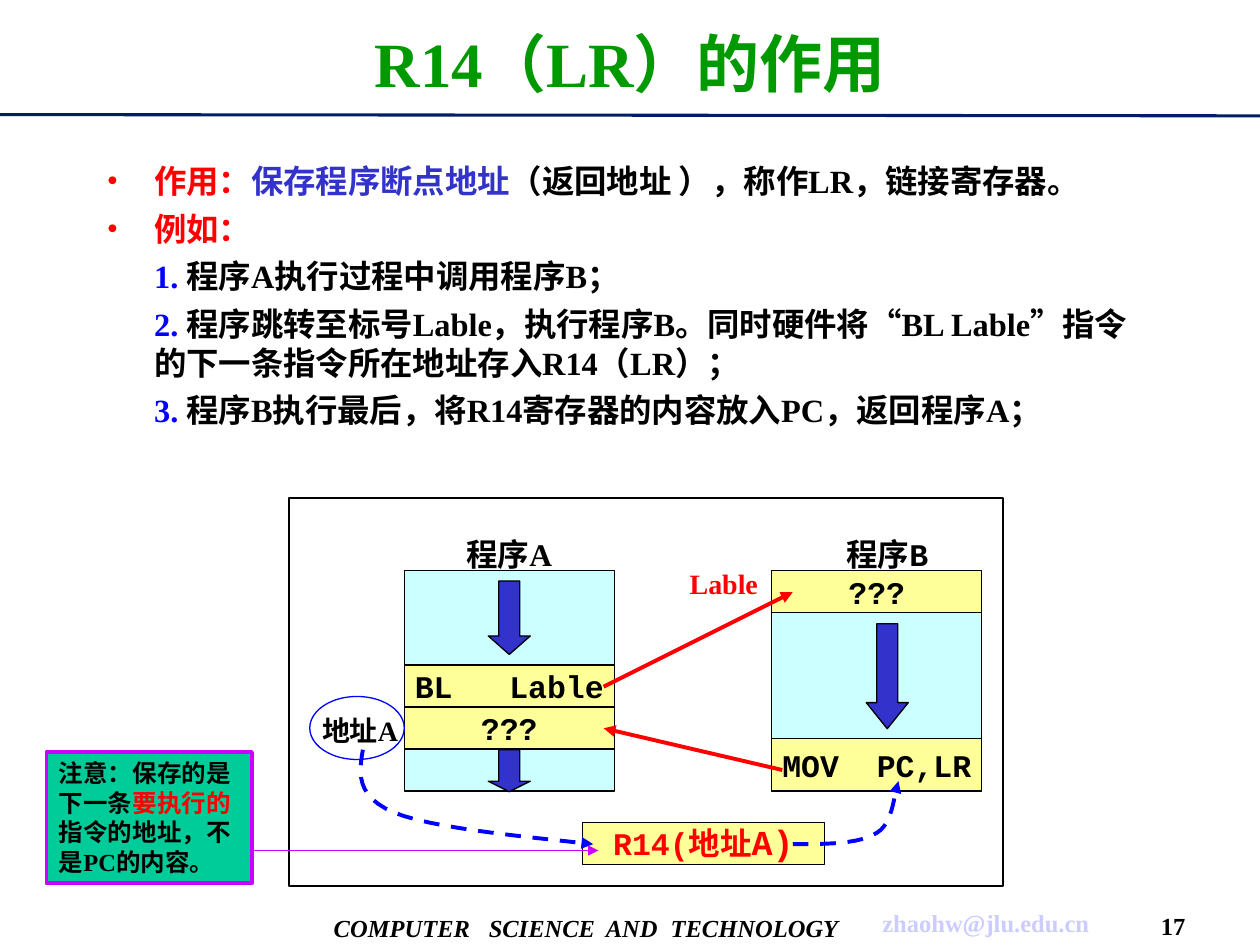
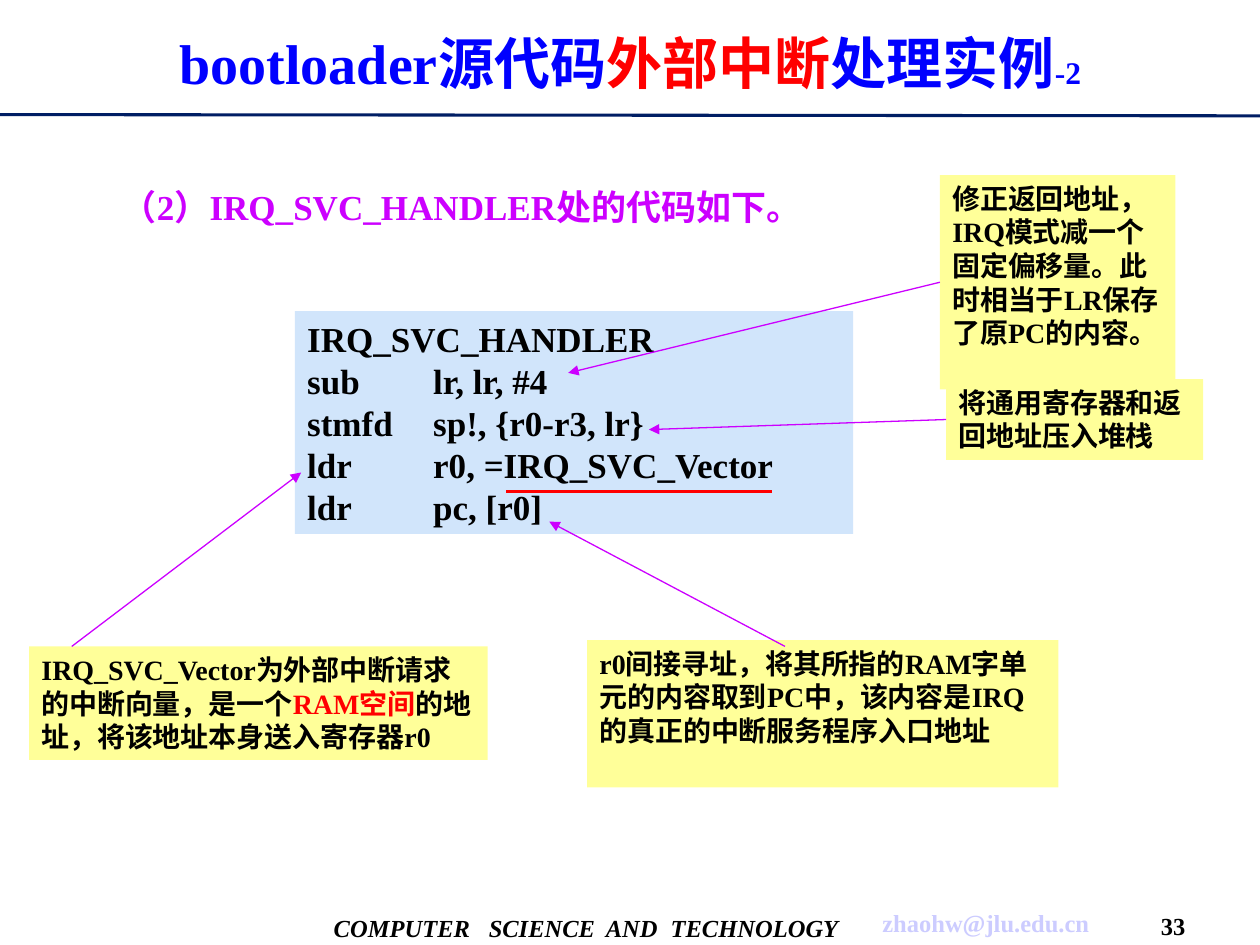
"""Build two slides on the link register and on external interrupt handling."""
import dataclasses

import lxml.etree
import pptx
import pptx.dml.color
import pptx.enum.dml
import pptx.enum.shapes
import pptx.enum.text
import pptx.oxml.ns
import pptx.util

Pt = pptx.util.Pt
qn = pptx.oxml.ns.qn
PRESET = pptx.enum.shapes.MSO_SHAPE
MIDDLE = pptx.enum.text.MSO_ANCHOR.MIDDLE
CENTER = pptx.enum.text.PP_ALIGN.CENTER


@dataclasses.dataclass(frozen=True)
class Theme:
    serif: str = "Times New Roman"
    mono: str = "Courier New"
    black: str = "000000"
    navy: str = "001E64"
    green: str = "009900"
    red: str = "FF0000"
    blue: str = "0000FF"
    indigo: str = "3333CC"
    lilac: str = "CCCCFF"
    magenta: str = "CC00FF"
    cyan: str = "CCFFFF"
    yellow: str = "FFFF99"
    teal: str = "00CC99"
    sky: str = "D1E5FB"
    footer: float = 14
    note: float = 16
    label: float = 18
    body: float = 18.5
    code: float = 20
    leading: float = 1.2


theme = Theme()


def put_box(slide, place, paragraphs=(), size=theme.note, fill=None, edge=None, weight=0.75,
            preset=None, frame=None, layout=None, face=None, tabs=()):
    place = [Pt(length) for length in place]
    if preset is None:
        box = slide.shapes.add_textbox(*place)
    else:
        box = slide.shapes.add_shape(preset, *place)
        box.shadow.inherit = False
        for paint, colour in ((box.fill, fill), (box.line.fill, edge)):
            if colour:
                paint.solid()
                paint.fore_color.rgb = pptx.dml.color.RGBColor.from_string(colour)
            else:
                paint.background()
        if edge:
            box.line.width = Pt(weight)
    frame_format = {"word_wrap": True, "vertical_anchor": pptx.enum.text.MSO_ANCHOR.TOP,
                    "margin_left": Pt(7.2), "margin_right": Pt(7.2),
                    "margin_top": Pt(3.6), "margin_bottom": Pt(3.6), **(frame or {})}
    for key, value in frame_format.items():
        setattr(box.text_frame, key, value)
    layout_format = {"alignment": pptx.enum.text.PP_ALIGN.LEFT,
                     "line_spacing": Pt(theme.leading * size), **(layout or {})}
    for index, runs in enumerate(paragraphs):
        paragraph = box.text_frame.paragraphs[0] if index == 0 else box.text_frame.add_paragraph()
        for key, value in layout_format.items():
            setattr(paragraph, key, value)
        if tabs:
            stops = lxml.etree.SubElement(paragraph._p.get_or_add_pPr(), qn("a:tabLst"))
            for stop in tabs:
                lxml.etree.SubElement(stops, qn("a:tab"), pos=str(Pt(stop)), algn="l")
        for words, colour, *own_size in runs:
            run = paragraph.add_run()
            run.text = words
            run_format = {"name": theme.serif, "bold": True,
                          "size": Pt(own_size[0] if own_size else size), **(face or {})}
            for key, value in run_format.items():
                setattr(run.font, key, value)
            run.font.color.rgb = pptx.dml.color.RGBColor.from_string(colour)
    return box


def style_line(stroke, colour, width, arrow=True):
    stroke.line.color.rgb = pptx.dml.color.RGBColor.from_string(colour)
    stroke.line.width = Pt(width)
    if arrow:
        lxml.etree.SubElement(stroke.line._ln, qn("a:tailEnd"), type="triangle")
    lxml.etree.SubElement(stroke._element.spPr, qn("a:effectLst"))


STRAIGHT = pptx.enum.shapes.MSO_CONNECTOR.STRAIGHT
deck = pptx.Presentation()
deck.slide_width, deck.slide_height = Pt(720), Pt(540)

headings = [
    ("17", 36, [("R14（LR）的作用", theme.green)]),
    ("33", 32, [("bootloader源代码", theme.blue), ("外部中断", theme.red),
                ("处理实例", theme.blue), ("-2", theme.blue, theme.label)]),
]
footer_style = {"size": theme.footer, "layout": {"alignment": CENTER},
                "frame": {"vertical_anchor": MIDDLE, "margin_left": 0, "margin_right": 0}}
for number, title_size, title in headings:
    slide = deck.slides.add_slide(deck.slide_layouts[6])
    rule = slide.shapes.add_connector(STRAIGHT, 0, Pt(65.5), Pt(720), Pt(66.2))
    style_line(rule, theme.navy, 1.75, arrow=False)
    put_box(slide, (183.6, 514.8, 312, 30.2),
            [[("COMPUTER\tSCIENCE\tAND\tTECHNOLOGY", theme.black)]], size=theme.footer,
            frame={"vertical_anchor": MIDDLE, "margin_right": 0}, face={"italic": True},
            tabs=(88.6, 155.5, 192.5))
    put_box(slide, (498.2, 514.1, 130.3, 25.9), [[("zhaohw@jlu.edu.cn", theme.lilac)]], **footer_style)
    put_box(slide, (654.5, 517.7, 31.7, 22.3), [[(number, theme.black)]], **footer_style)
    put_box(slide, (23, 5.8, 674.6, 59.8), [title], size=title_size,
            frame={"vertical_anchor": MIDDLE}, layout={"alignment": CENTER})

link_slide, handler_slide = deck.slides

steps = [
    "程序A执行过程中调用程序B；",
    "程序跳转至标号Lable，执行程序B。同时硬件将“BL Lable”指令的下一条指令所在地址存入R14（LR）；",
    "程序B执行最后，将R14寄存器的内容放入PC，返回程序A；",
]
purpose = [
    [("作用：", theme.red), ("保存程序断点地址", theme.indigo),
     ("（返回地址 ），称作LR，链接寄存器。", theme.black)],
    [("例如：", theme.red)],
]
purpose += [[(f"{count}. ", theme.blue), (step, theme.black)] for count, step in enumerate(steps, 1)]
explanation = put_box(link_slide, (54, 88.6, 604, 175.7), purpose, size=theme.body)
for index, paragraph in enumerate(explanation.text_frame.paragraphs):
    if index:
        paragraph.space_before = Pt(5)
    properties = paragraph._p.get_or_add_pPr()
    properties.set("marL", str(Pt(27)))
    properties.set("indent", str(Pt(-27 if index < 2 else 0)))
    if index < 2:
        bullet_colour = lxml.etree.SubElement(properties, qn("a:buClr"))
        lxml.etree.SubElement(bullet_colour, qn("a:srgbClr"), val=theme.red)
        lxml.etree.SubElement(properties, qn("a:buFont"), typeface=theme.serif)
        lxml.etree.SubElement(properties, qn("a:buChar"), char="•")

put_box(link_slide, (165, 284.4, 408, 221.8), edge=theme.black, weight=1, preset=PRESET.RECTANGLE)
for left, label_left, program, typeface in ((231, 249, "程序A", theme.serif),
                                            (441, 465, "程序B", theme.mono)):
    put_box(link_slide, (left, 326, 120, 126), fill=theme.cyan, edge=theme.black,
            preset=PRESET.RECTANGLE)
    put_box(link_slide, (label_left, 302.4, 84.2, 28.8), [[(program, theme.black)]],
            size=theme.label, layout={"alignment": CENTER}, face={"name": typeface})

put_box(link_slide, (177, 404, 72, 26.6), [[("地址A", theme.black)]])
put_box(link_slide, (387, 320.4, 60, 26.6), [[("Lable", theme.red)]])

unknown = [("???", theme.black)]
cells = [
    ((231, 380, 120, 24), [("BL\tLable", theme.black)], (54,)),
    ((231, 404, 120, 24), unknown, ()),
    ((441, 326, 120, 24), unknown, ()),
    ((441, 422, 120, 30), [("MOV\tPC,LR", theme.black)], (54,)),
    ((333, 470, 138, 24), [("R14(地址", theme.red), ("A)", theme.red, theme.code)], ()),
]
for place, instruction, tabs in cells:
    put_box(link_slide, place, [instruction], size=theme.label, fill=theme.yellow,
            edge=theme.black, preset=PRESET.RECTANGLE, face={"name": theme.mono}, tabs=tabs,
            layout={} if tabs else {"alignment": CENTER},
            frame={"vertical_anchor": MIDDLE, "margin_left": Pt(6), "margin_right": Pt(0 if tabs else 6)})

for place, head in (((279, 332, 24, 42), 0.44), ((495, 356.4, 24, 60), 0.62),
                    ((279, 428.4, 24, 24), 0.25)):
    flow = put_box(link_slide, place, fill=theme.indigo, edge=theme.black, preset=PRESET.DOWN_ARROW)
    flow.adjustments[1] = head

put_box(link_slide, (177, 398, 54, 36), edge=theme.blue, preset=PRESET.OVAL)

address_paths = [
    [(207.4, 428.4), (205.2, 441.4), (203, 455), (225.4, 464.4),
     (247, 473), (293, 477.4), (339, 482.4)],
    [(453, 482.4), (472.3, 482.4), (491, 482.4), (501.1, 475.9),
     (511.2, 470.2), (511.2, 449.3), (513.4, 446.4)],
]
for knots in address_paths:
    points = []
    for start in (0, 3):
        for tick in range(1, 13):
            t = tick / 12
            weights = ((1 - t) ** 3, 3 * t * (1 - t) ** 2, 3 * t * t * (1 - t), t ** 3)
            points.append([Pt(sum(w * knot[axis] for w, knot in zip(weights, knots[start:start + 4])))
                           for axis in (0, 1)])
    outline = link_slide.shapes.build_freeform(Pt(knots[0][0]), Pt(knots[0][1]))
    outline.add_line_segments(points, close=False)
    address_path = outline.convert_to_shape()
    address_path.fill.background()
    address_path.line.dash_style = pptx.enum.dml.MSO_LINE.DASH
    style_line(address_path, theme.blue, 2.25)

put_box(link_slide, (26.6, 429.8, 117.4, 74.9),
        [[("注意：保存的是下一条", theme.black), ("要执行的", theme.red),
          ("指令的地址，不是PC的内容。", theme.black)]],
        size=theme.footer, fill=theme.teal, edge=theme.magenta, weight=2.25, preset=PRESET.RECTANGLE)

put_box(handler_slide, (62.6, 102.2, 604, 36.7),
        [[("（2）IRQ_SVC_HANDLER处的代码如下。", theme.magenta)]], size=theme.code)
handler_code = ["IRQ_SVC_HANDLER", "sub\tlr, lr, #4", "stmfd\tsp!, {r0-r3, lr}",
                "ldr\tr0, =IRQ_SVC_Vector", "ldr\tpc, [r0]"]
put_box(handler_slide, (168.5, 177.8, 319, 127.4), [[(line, theme.black)] for line in handler_code],
        size=theme.code, fill=theme.sky, preset=PRESET.RECTANGLE, tabs=(72,))

remarks = [
    ((537.1, 100.1, 134.6, 122.4),
     [("修正返回地址，IRQ模式减一个固定偏移量。此时相当于LR保存了原PC的内容。", theme.black)]),
    ((540.7, 216.7, 146.9, 46.1), [("将通用寄存器和返回地址压入堆栈", theme.black)]),
    ((16.6, 369.4, 262.1, 64.8),
     [("IRQ_SVC_Vector为外部中断请求的中断向量，是一个", theme.black), ("RAM空间", theme.red),
      ("的地址，将该地址本身送入寄存器r0", theme.black)]),
    ((335.5, 365.8, 269.3, 84.2),
     [("r0间接寻址，将其所指的RAM字单元的内容取到PC中，该内容是IRQ的真正的中断服务程序入口地址",
       theme.black)]),
]
offset_note, stack_note, vector_note, entry_note = [
    put_box(handler_slide, place, [remark], fill=theme.yellow, preset=PRESET.RECTANGLE)
    for place, remark in remarks]

links = [
    (link_slide, (345, 392.4, 453, 338.4), theme.red, 2.25, True, None),
    (link_slide, (447, 440, 345, 416.2), theme.red, 2.25, True, None),
    (link_slide, (144, 486, 342, 486), theme.magenta, 0.75, True, None),
    (handler_slide, (537.1, 161.3, 324.7, 213.1), theme.magenta, 0.75, True, offset_note),
    (handler_slide, (540.7, 239.8, 370.8, 245.5), theme.magenta, 0.75, True, stack_note),
    (handler_slide, (41, 369.4, 172.1, 270), theme.magenta, 0.75, True, None),
    (handler_slide, (448.6, 369.4, 313.9, 298.1), theme.magenta, 0.75, True, None),
    (handler_slide, (289.4, 280.8, 441.4, 280.8), theme.red, 1.5, False, None),
]
for slide, ends, colour, width, arrow, source_note in links:
    link = slide.shapes.add_connector(STRAIGHT, *[Pt(end) for end in ends])
    if source_note:
        link.begin_connect(source_note, 1)
    style_line(link, colour, width, arrow)

deck.save("out.pptx")
